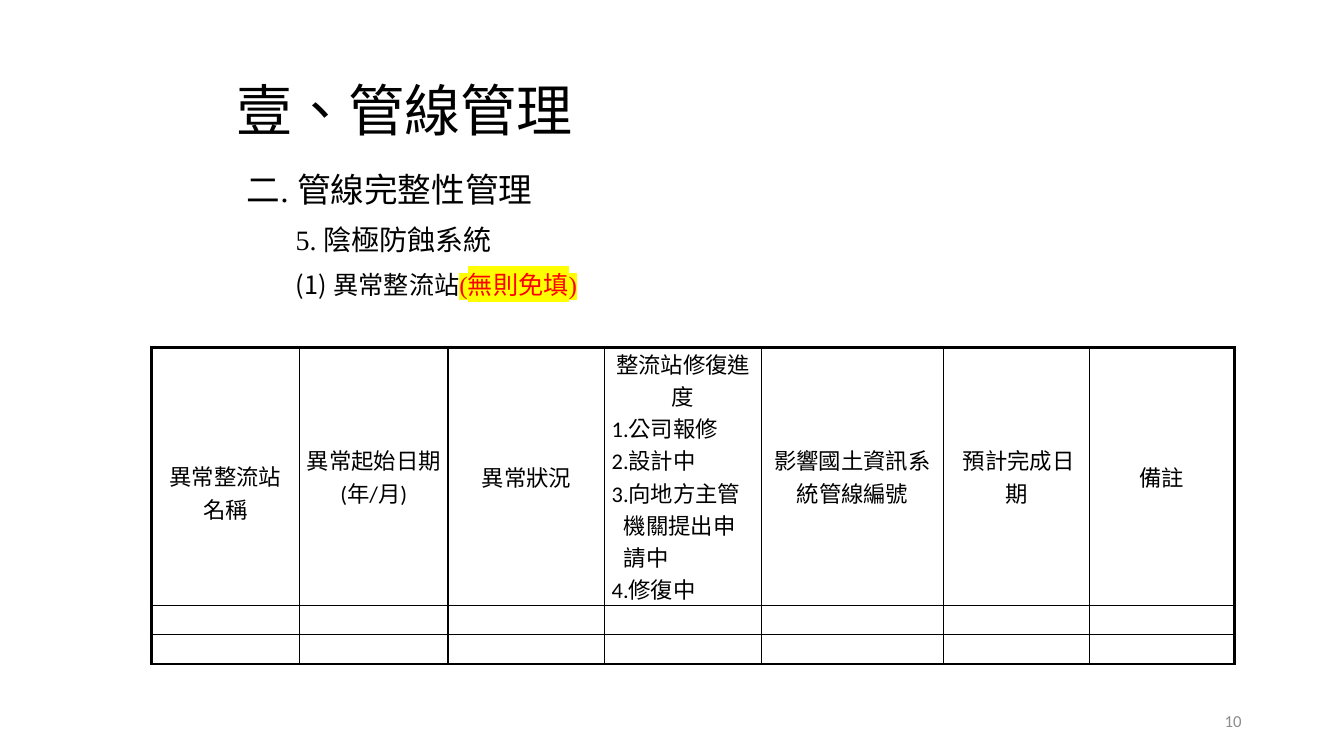
from lxml import etree
from pptx import Presentation
from pptx.dml.color import RGBColor
from pptx.enum.lang import MSO_LANGUAGE_ID
from pptx.enum.text import MSO_ANCHOR, MSO_AUTO_SIZE, PP_ALIGN
from pptx.oxml.ns import qn
from pptx.util import Pt

BLACK = RGBColor(0x00, 0x00, 0x00)
WHITE = RGBColor(0xFF, 0xFF, 0xFF)
RED = RGBColor(0xFF, 0x00, 0x00)
YELLOW = RGBColor(0xFF, 0xFF, 0x00)
GRAY = RGBColor(0x8C, 0x8C, 0x8C)
LEFT, CENTER, RIGHT = PP_ALIGN.LEFT, PP_ALIGN.CENTER, PP_ALIGN.RIGHT
MIDDLE = MSO_ANCHOR.MIDDLE
NO_FIT = MSO_AUTO_SIZE.NONE
CHINESE = MSO_LANGUAGE_ID.TRADITIONAL_CHINESE
SERIF, SANS, HAN = "Times New Roman", "Calibri", "Noto Sans CJK SC"

THIN, THICK = 1, 2.25
WIDTHS = [106, 106, 112, 112, 130, 104, 104]
HEIGHTS = [78, 21, 21]
# Each heading is a list of (text, alignment, left margin, indent)
HEADS = [
    [("異常整流站", CENTER, 0, 0), ("名稱", CENTER, 0, 0)],
    [("異常起始日期", CENTER, 0, 0), ("(年/月)", CENTER, 0, 0)],
    [("異常狀況", CENTER, 0, 0)],
    [("整流站修復進度", CENTER, 0, 0),
     ("1.公司報修", LEFT, 0, 0),
     ("2.設計中", LEFT, 0, 0),
     ("3.向地方主管機關提出申請中", LEFT, 8.6, -11.5),
     ("4.修復中", LEFT, 0, 0)],
    [("影響國土資訊系統管線編號", CENTER, 0, 0)],
    [(" 預計完成日期", CENTER, 0, 0)],
    [("備註", CENTER, 0, 0)],
]


def place(shape, left, top, width, height):
    shape.left, shape.top = Pt(left), Pt(top)
    shape.width, shape.height = Pt(width), Pt(height)


def next_para(frame, index):
    return frame.paragraphs[0] if index == 0 else frame.add_paragraph()


def indent(para, margin, first):
    props = para._p.get_or_add_pPr()
    props.set("marL", str(Pt(margin)))
    props.set("indent", str(Pt(first)))
    return props


def add_run(para, text, size, face, color=BLACK, mark=None):
    run = para.add_run()
    run.text = text
    font = run.font
    font.size, font.name, font.bold = Pt(size), face, False
    font.color.rgb = color
    font.language_id = CHINESE
    if mark is not None:
        light = etree.Element(qn("a:highlight"))
        etree.SubElement(light, qn("a:srgbClr"), val=str(mark))
        run._r.rPr.find(qn("a:solidFill")).addnext(light)


def add_title(slide):
    title = slide.shapes.title
    place(title, 169, 59, 621, 44)
    frame = title.text_frame
    frame.auto_size, frame.vertical_anchor = NO_FIT, MIDDLE
    frame.margin_left = frame.margin_right = Pt(0)
    frame.margin_top = frame.margin_bottom = Pt(0)
    para = frame.paragraphs[0]
    para.alignment, para.line_spacing = LEFT, 0.9
    add_run(para, "壹、管線管理", 40, SERIF)


def add_list(slide):
    body = slide.placeholders[1]
    place(body, 169, 120, 601, 102)
    frame = body.text_frame
    frame.auto_size = NO_FIT
    items = [
        (0, 0, False, 24, [("二. 管線完整性管理", BLACK, None)]),
        (35, 0, False, 20, [("5. 陰極防蝕系統", BLACK, None)]),
        (62, -27, True, 18, [("異常整流站", BLACK, None),
                             ("(無則免填)", RED, YELLOW)]),
    ]
    for index, (margin, first, count, size, runs) in enumerate(items):
        para = next_para(frame, index)
        props = indent(para, margin, first)
        if count:
            etree.SubElement(props, qn("a:buFont"), typeface=HAN)
            etree.SubElement(props, qn("a:buAutoNum"), type="arabicParenBoth")
        else:
            etree.SubElement(props, qn("a:buNone"))
        para.line_spacing = 0.9
        para.space_before, para.space_after = Pt(0), Pt(12)
        for text, color, mark in runs:
            add_run(para, text, size, SERIF, color, mark)


def add_edges(cell, widths):
    props = cell._tc.get_or_add_tcPr()
    for index, (side, width) in enumerate(zip("LRTB", widths)):
        line = etree.Element(qn("a:ln" + side), w=str(Pt(width)))
        fill = etree.SubElement(line, qn("a:solidFill"))
        etree.SubElement(fill, qn("a:srgbClr"), val=str(BLACK))
        props.insert(index, line)


def fill_cell(cell, lines):
    cell.vertical_anchor = MIDDLE
    cell.margin_left = cell.margin_right = Pt(5)
    cell.margin_top = cell.margin_bottom = Pt(0)
    cell.fill.solid()
    cell.fill.fore_color.rgb = WHITE
    for index, (text, align, margin, first) in enumerate(lines):
        para = next_para(cell.text_frame, index)
        indent(para, margin, first)
        para.alignment = align
        add_run(para, text, 16, SANS)
    if not lines:
        para = cell.text_frame.paragraphs[0]
        etree.SubElement(para._p, qn("a:endParaRPr"), sz="1200")


def add_grid(slide):
    rows, cols = len(HEIGHTS), len(WIDTHS)
    frame = slide.shapes.add_table(rows, cols, Pt(108), Pt(248),
                                   Pt(sum(WIDTHS)), Pt(sum(HEIGHTS)))
    table = frame.table
    table.first_row = table.horz_banding = False
    for col, width in zip(table.columns, WIDTHS):
        col.width = Pt(width)
    for r, height in enumerate(HEIGHTS):
        table.rows[r].height = Pt(height)
        for c in range(cols):
            cell = table.cell(r, c)
            fill_cell(cell, HEADS[c] if r == 0 else [])
            outer = (c == 0, c == cols - 1, r == 0, r == rows - 1)
            add_edges(cell, [THICK if edge else THIN for edge in outer])
    # The first heading sits half a line below the middle
    table.cell(0, 0).margin_top = Pt(23)


def add_number(slide):
    box = slide.shapes.add_textbox(Pt(678), Pt(500), Pt(216), Pt(29))
    frame = box.text_frame
    frame.word_wrap, frame.vertical_anchor = True, MIDDLE
    para = frame.paragraphs[0]
    para.alignment = RIGHT
    add_run(para, "10", 12, SANS, GRAY)


def main():
    deck = Presentation()
    deck.slide_width, deck.slide_height = Pt(960), Pt(540)
    slide = deck.slides.add_slide(deck.slide_layouts[1])
    add_title(slide)
    add_list(slide)
    add_grid(slide)
    add_number(slide)
    deck.save("out.pptx")


if __name__ == "__main__":
    main()
